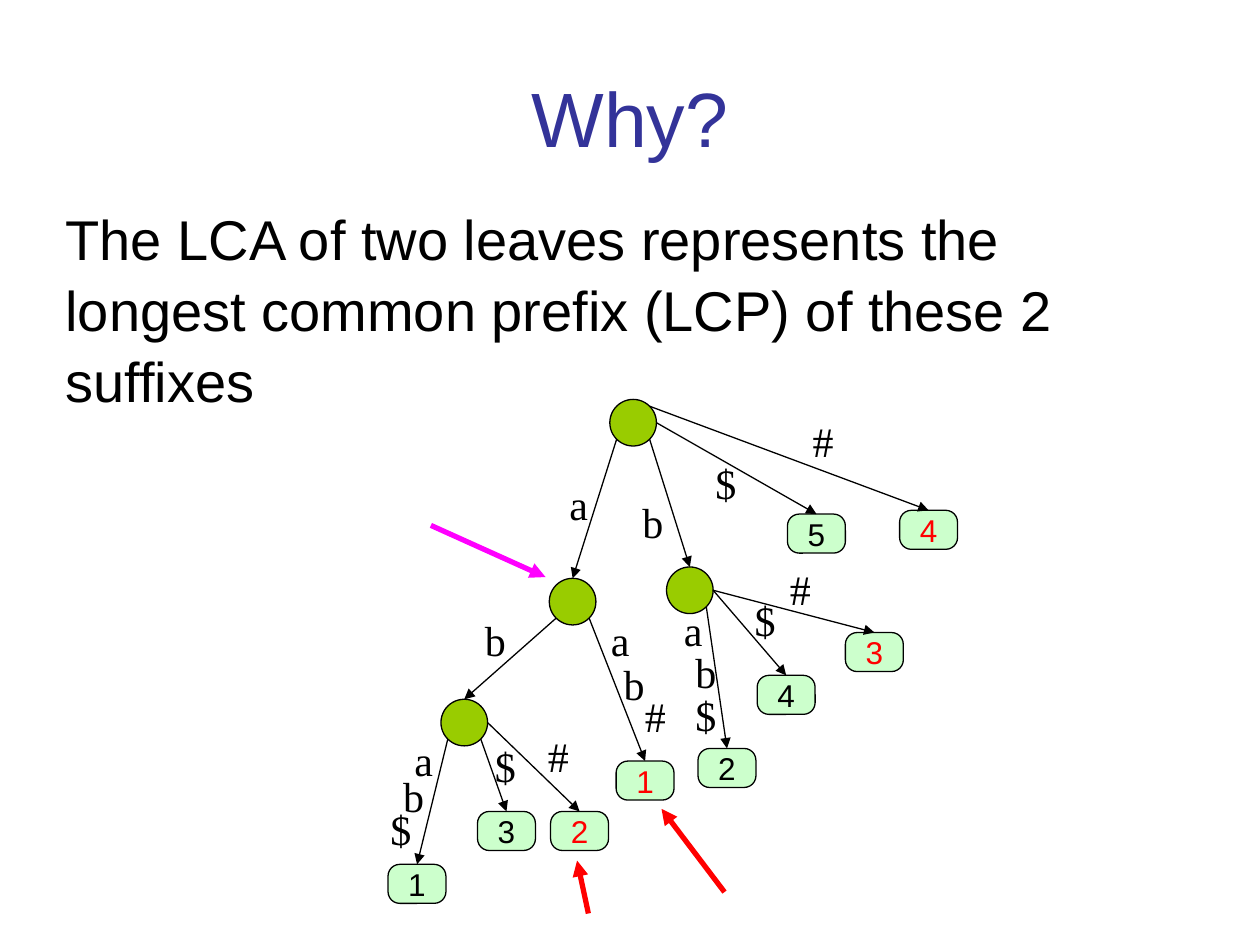
from dataclasses import dataclass
from math import cos, pi, sin
from typing import NamedTuple

from lxml.etree import SubElement
from pptx import Presentation
from pptx.dml.color import RGBColor
from pptx.enum.shapes import MSO_CONNECTOR, MSO_SHAPE
from pptx.enum.text import MSO_ANCHOR, MSO_AUTO_SIZE, PP_ALIGN
from pptx.oxml.ns import qn
from pptx.util import Inches, Pt


@dataclass(frozen=True)
class Theme:
    """Hold the colours, fonts and sizes of the slide."""

    title: str = "333399"
    ink: str = "000000"
    node: str = "99CC00"
    leaf: str = "CCFFCC"
    mark: str = "FF0000"
    hint: str = "FF00FF"
    sans: str = "Arial"
    serif: str = "Times New Roman"
    head: int = 44
    body: int = 32
    edge: int = 24
    tag: int = 18
    thin: float = 0.75
    thick: float = 3


class Spot(NamedTuple):
    """Name a point on the slide, in inches."""

    name: str
    x: float
    y: float


class Edge(NamedTuple):
    """Join a node to its child, leaving at a turn counted in eighths from the right."""

    start: str
    end: str
    turn: int


class Arrow(NamedTuple):
    """Point from one place to another."""

    x: float
    y: float
    to_x: float
    to_y: float
    color: str


LOOK = Theme()
NODE = 0.37
LEAF = (0.46, 0.31)
LABEL = (0.42, 0.5)

NODES = [
    Spot("root", 4.84, 3.17), Spot("a", 4.36, 4.59),
    Spot("b", 5.29, 4.5), Spot("ab", 3.5, 5.55),
]
LEAVES = [
    Spot("1$", 3.08, 6.86), Spot("2$", 5.54, 5.94), Spot("3$", 3.79, 6.44),
    Spot("4$", 6.01, 5.36), Spot("5$", 6.25, 4.08), Spot("1#", 4.89, 6.04),
    Spot("2#", 4.37, 6.44), Spot("3#", 6.71, 5.02), Spot("4#", 7.14, 4.05),
]
EDGES = [
    Edge("root", "a", 3), Edge("root", "b", 1),
    Edge("root", "5$", 0), Edge("root", "4#", 7),
    Edge("a", "ab", 3), Edge("a", "1#", 1),
    Edge("b", "2$", 1), Edge("b", "4$", 0), Edge("b", "3#", 0),
    Edge("ab", "1$", 3), Edge("ab", "3$", 1), Edge("ab", "2#", 0),
]
LABELS = [
    Spot("a", 4.42, 3.75), Spot("b", 5, 3.89),
    Spot("$", 5.58, 3.58), Spot("#", 6.35, 3.25),
    Spot("b", 3.75, 4.83),
    Spot("a", 4.75, 4.83), Spot("b", 4.85, 5.18), Spot("#", 5.02, 5.43),
    Spot("a", 5.33, 4.75), Spot("b", 5.42, 5.08), Spot("$", 5.42, 5.42),
    Spot("$", 5.89, 4.67), Spot("#", 6.17, 4.42),
    Spot("a", 3.19, 5.78), Spot("b", 3.1, 6.07), Spot("$", 3, 6.33),
    Spot("$", 3.83, 5.83), Spot("#", 4.25, 5.75),
]
ARROWS = [
    Arrow(5.75, 7.08, 5.25, 6.42, LOOK.mark),
    Arrow(4.67, 7.25, 4.58, 6.83, LOOK.mark),
    Arrow(3.42, 4.17, 4.33, 4.58, LOOK.hint),
]


def write(frame, text: str, face: str, size: int, color: str, align=PP_ALIGN.LEFT):
    """Set the one paragraph of a text frame and return it."""
    para = frame.paragraphs[0]
    para.text = text
    para.alignment = align
    para.space_before = Pt(0)
    para.font.name = face
    para.font.size = Pt(size)
    para.font.color.rgb = RGBColor.from_string(color)
    return para


def place(shape, x: float, y: float, wide: float, high: float) -> None:
    """Move and size a shape."""
    shape.left, shape.top = Inches(x), Inches(y)
    shape.width, shape.height = Inches(wide), Inches(high)


def draw_text(slide) -> None:
    """Fill the title and body placeholders."""
    title, body = slide.placeholders
    place(title, 0.5, 0.3, 9, 1.25)
    place(body, 0.42, 1.55, 9.17, 1.7)
    for shape in (title, body):
        shape.text_frame.auto_size = MSO_AUTO_SIZE.NONE
    write(title.text_frame, "Why?", LOOK.sans, LOOK.head, LOOK.title, PP_ALIGN.CENTER)
    text = ("The LCA of two leaves represents the longest common prefix (LCP) "
            "of these 2 suffixes")
    para = body.text_frame.paragraphs[0]
    props = para._p.get_or_add_pPr()
    props.set("marL", "0")
    props.set("indent", "0")
    SubElement(props, qn("a:buNone"))
    write(body.text_frame, text, LOOK.sans, LOOK.body, LOOK.ink).line_spacing = 1.05


def draw_shape(slide, kind, spot: Spot, wide: float, high: float, fill: str):
    """Draw a filled shape with a thin outline."""
    shape = slide.shapes.add_shape(
        kind, Inches(spot.x), Inches(spot.y), Inches(wide), Inches(high))
    shape.shadow.inherit = False
    shape.fill.solid()
    shape.fill.fore_color.rgb = RGBColor.from_string(fill)
    shape.line.color.rgb = RGBColor.from_string(LOOK.ink)
    shape.line.width = Pt(LOOK.thin)
    return shape


def draw_leaf(slide, spot: Spot):
    """Draw a leaf with its suffix number, marked when its string ends in #."""
    shape = draw_shape(slide, MSO_SHAPE.ROUNDED_RECTANGLE, spot, *LEAF, LOOK.leaf)
    shape.adjustments[0] = 0.3
    frame = shape.text_frame
    frame.word_wrap = False
    frame.vertical_anchor = MSO_ANCHOR.MIDDLE
    color = LOOK.mark if spot.name.endswith("#") else LOOK.ink
    write(frame, spot.name[0], LOOK.sans, LOOK.tag, color, PP_ALIGN.CENTER)
    return shape


def draw_arrow(slide, arrow: Arrow, width: float):
    """Draw a straight line with a triangle at its end."""
    line = slide.shapes.add_connector(
        MSO_CONNECTOR.STRAIGHT, Inches(arrow.x), Inches(arrow.y),
        Inches(arrow.to_x), Inches(arrow.to_y))
    line.line.color.rgb = RGBColor.from_string(arrow.color)
    line.line.width = Pt(width)
    SubElement(line.line._get_or_add_ln(), qn("a:tailEnd"), type="triangle")
    SubElement(line._element.spPr, qn("a:effectLst"))
    return line


def draw_edge(slide, edge: Edge, spots: dict, shapes: dict) -> None:
    """Draw an edge from the rim of a node to the top of its child."""
    start, end = spots[edge.start], spots[edge.end]
    half, angle = NODE / 2, edge.turn * pi / 4
    x = start.x + half * (1 + cos(angle))
    y = start.y + half * (1 + sin(angle))
    line = draw_arrow(slide, Arrow(x, y, end.x, end.y, LOOK.ink), LOOK.thin)
    line.end_connect(shapes[edge.end], 0)


def draw_label(slide, spot: Spot) -> None:
    """Write one letter beside an edge."""
    box = slide.shapes.add_textbox(
        Inches(spot.x), Inches(spot.y), Inches(LABEL[0]), Inches(LABEL[1]))
    box.text_frame.word_wrap = True
    write(box.text_frame, spot.name, LOOK.serif, LOOK.edge, LOOK.ink)


def main() -> None:
    """Build the slide and save it."""
    deck = Presentation()
    deck.slide_width, deck.slide_height = Inches(10), Inches(7.5)
    slide = deck.slides.add_slide(deck.slide_layouts[1])
    draw_text(slide)
    spots = {spot.name: spot for spot in NODES + LEAVES}
    shapes = {spot.name: draw_shape(slide, MSO_SHAPE.OVAL, spot, NODE, NODE, LOOK.node)
              for spot in NODES}
    shapes.update({spot.name: draw_leaf(slide, spot) for spot in LEAVES})
    for edge in EDGES:
        draw_edge(slide, edge, spots, shapes)
    for spot in LABELS:
        draw_label(slide, spot)
    for arrow in ARROWS:
        draw_arrow(slide, arrow, LOOK.thick)
    deck.save("out.pptx")


if __name__ == "__main__":
    main()
